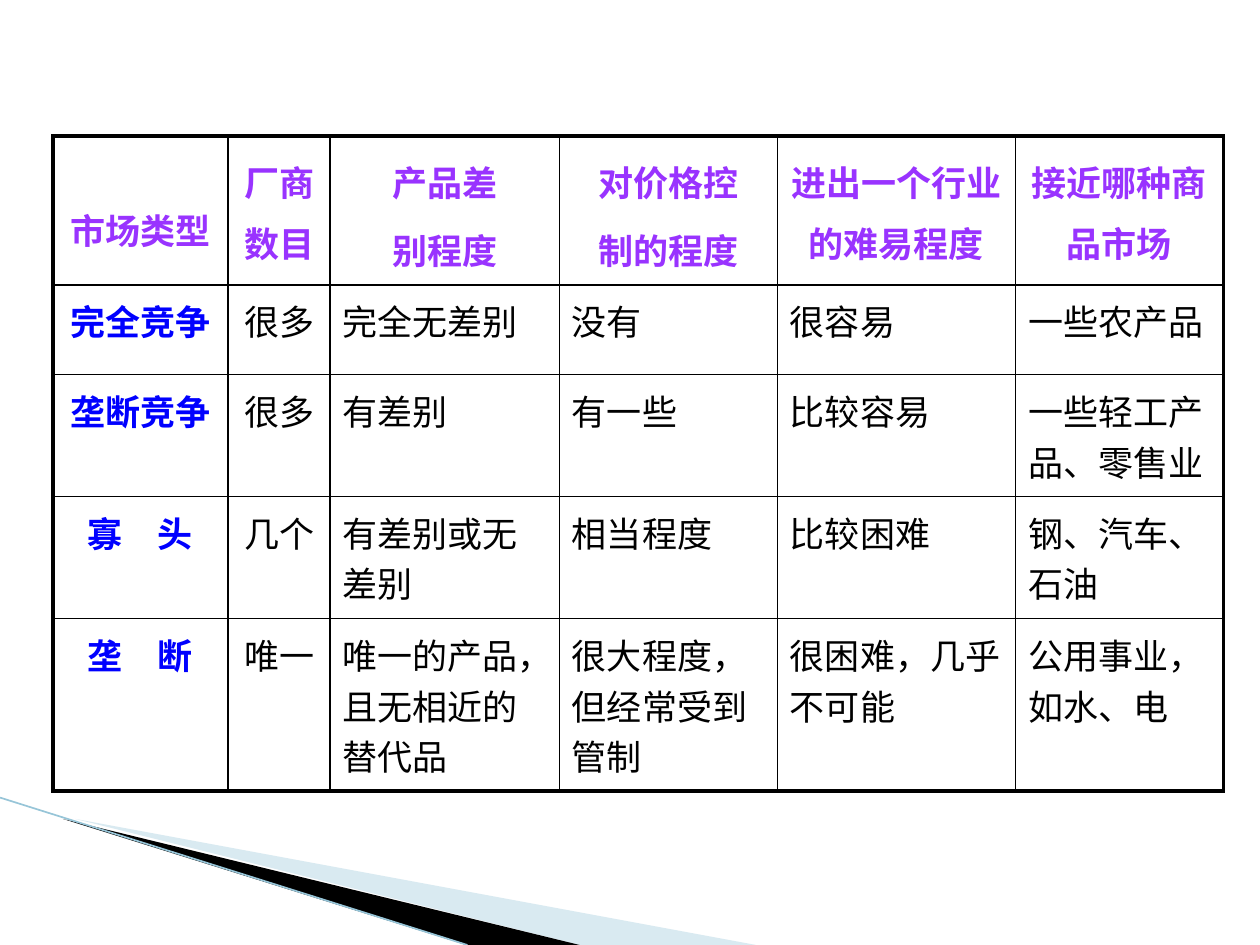
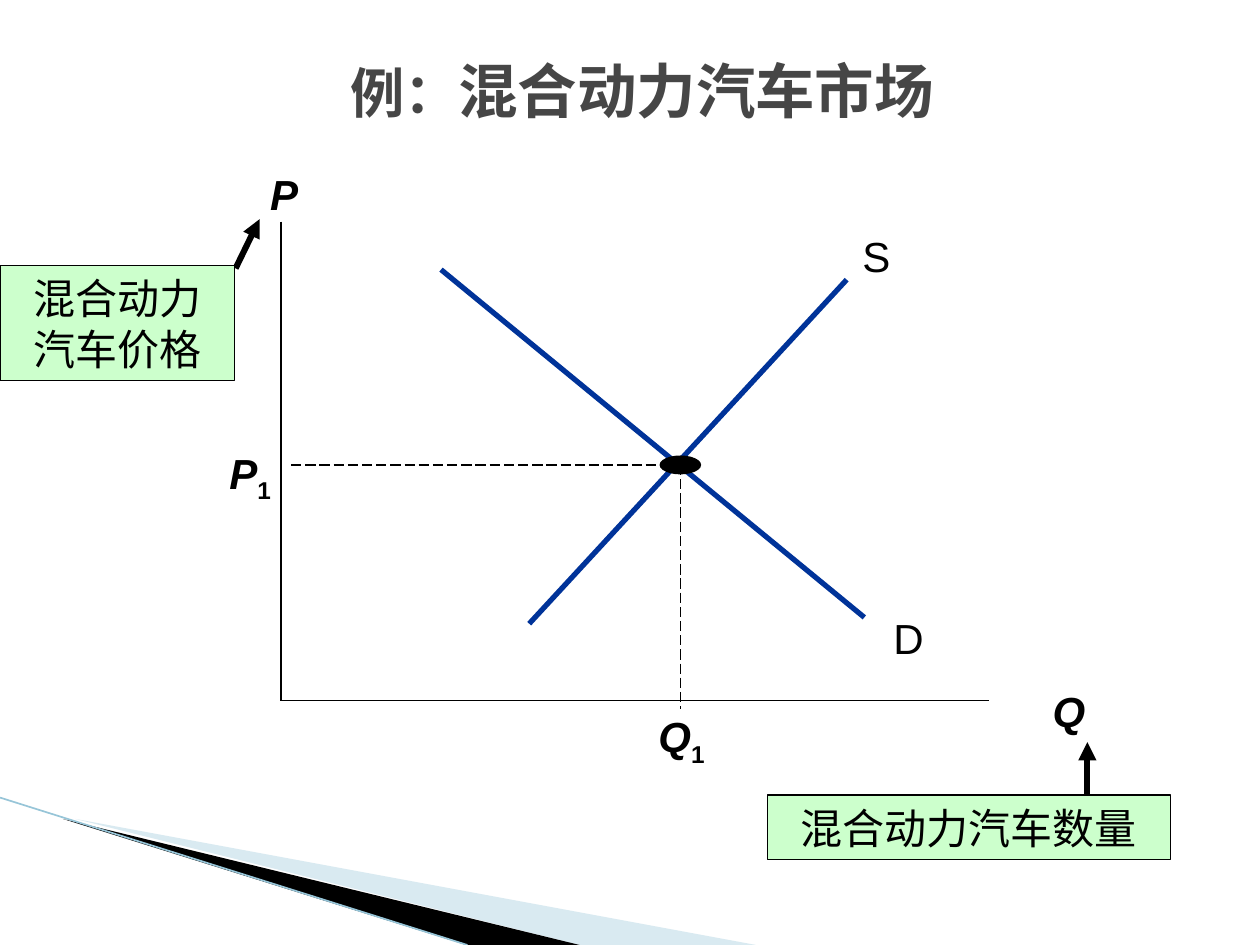
from lxml import etree
from pptx import Presentation
from pptx.dml.color import RGBColor
from pptx.enum.dml import MSO_LINE
from pptx.enum.shapes import MSO_CONNECTOR, MSO_SHAPE
from pptx.enum.text import MSO_ANCHOR, PP_ALIGN
from pptx.oxml.ns import qn
from pptx.util import Inches, Pt

# A grid of 100 columns by 75 rows covers the slide.
GRID = Inches(0.1)
COLUMNS, ROWS = 100, 75
SANS, TABLE_FONT, TITLE_FONT = "Arial", "Noto Sans CJK SC", "Courier New"
COLORS = {
    "ink": "000000",
    "title": "464646",
    "heading": "9933FF",
    "market": "0000FF",
    "curve": "003399",
    "callout": "CCFFCC",
    "wedge": "A0CBDC",
    "edge": "97C5D8",
}


def write(para, text, size, font=SANS, color="ink", bold=False, italic=False):
    """Add one run, with the same typeface for Latin and Chinese."""
    span = para.add_run()
    span.text = text
    span.font.name = font
    span.font.size = Pt(size)
    span.font.bold = bold
    span.font.italic = italic
    span.font.color.rgb = RGBColor.from_string(COLORS[color])
    props = span._r.get_or_add_rPr()
    etree.SubElement(props, qn("a:ea"), typeface=font)
    return span


def draw_line(page, start, end, color="ink", width=1, dashed=False, arrow=False):
    ends = [int(value * GRID) for value in (*start, *end)]
    line = page.shapes.add_connector(MSO_CONNECTOR.STRAIGHT, *ends)
    line.line.color.rgb = RGBColor.from_string(COLORS[color])
    line.line.width = Pt(width)
    if dashed:
        line.line.dash_style = MSO_LINE.LONG_DASH
    if arrow:
        etree.SubElement(line.line._get_or_add_ln(), qn("a:tailEnd"), type="triangle")
    etree.SubElement(line.element.spPr, qn("a:effectLst"))
    return line


deck = Presentation()
deck.slide_width, deck.slide_height = COLUMNS * GRID, ROWS * GRID
table_page = deck.slides.add_slide(deck.slide_layouts[6])
chart_page = deck.slides.add_slide(deck.slide_layouts[5])

# Corner sweep, moved to the master so that both slides share it
sweep = []
for color, opacity, points in [
    ("wedge", 40, [(5.5, 65.1), (59.5, 75), (45.6, 75), (5.5, 65)]),
    ("ink", 100, [(5.3, 64.9), (45.7, 75), (37.2, 75), (5.4, 65)]),
]:
    builder = table_page.shapes.build_freeform(*points[0], scale=GRID)
    builder.add_line_segments(points[1:], close=True)
    wedge = builder.convert_to_shape()
    wedge.shadow.inherit = False
    wedge.line.fill.background()
    wedge.fill.solid()
    wedge.fill.fore_color.rgb = RGBColor.from_string(COLORS[color])
    if opacity < 100:
        tint = wedge.element.spPr.find(".//" + qn("a:srgbClr"))
        etree.SubElement(tint, qn("a:alpha"), val=str(opacity * 1000))
    sweep.append(wedge)
sweep.append(draw_line(table_page, (0, 63.3), (37.1, 75), "edge", 0.95))
for number, shape in enumerate(sweep, start=20):
    shape.element.xpath("./*/p:cNvPr")[0].set("id", str(number))
    deck.slide_master.shapes.element.append(shape.element)

# Slide 1: the four market types
MARKETS = [
    ["市场类型", "厂商数目", "产品差\n别程度", "对价格控\n制的程度",
     "进出一个行业的难易程度", "接近哪种商品市场"],
    ["完全竞争", "很多", "完全无差别", "没有", "很容易", "一些农产品"],
    ["垄断竞争", "很多", "有差别", "有一些", "比较容易", "一些轻工产品、零售业"],
    ["寡　头", "几个", "有差别或无差别", "相当程度", "比较困难", "钢、汽车、石油"],
    ["垄　断", "唯一", "唯一的产品，且无相近的替代品",
     "很大程度，但经常受到管制", "很困难，几乎不可能", "公用事业，如水、电"],
]
WIDTHS = [13.9, 8.1, 18.2, 17.3, 18.9, 16.5]
HEIGHTS = [11, 7.1, 7.9, 9.7, 11.5]
last_row, last_column = len(HEIGHTS) - 1, len(WIDTHS) - 1

frame = table_page.shapes.add_table(
    len(HEIGHTS), len(WIDTHS), int(4.2 * GRID), int(10.8 * GRID),
    int(sum(WIDTHS) * GRID), int(sum(HEIGHTS) * GRID))
table = frame.table
table.first_row = table.horz_banding = False
for column, width in zip(table.columns, WIDTHS):
    column.width = int(width * GRID)
for row, height in zip(table.rows, HEIGHTS):
    row.height = int(height * GRID)

for r, texts in enumerate(MARKETS):
    for c, text in enumerate(texts):
        cell = table.cell(r, c)
        outer_sides = {"lnL": c == 0, "lnR": c == last_column,
                       "lnT": r == 0, "lnB": r == last_row}
        for side, outer in outer_sides.items():
            border = etree.SubElement(cell._tc.get_or_add_tcPr(), qn("a:" + side),
                                      w=str(Pt(2.25 if outer else 1)))
            fill = etree.SubElement(border, qn("a:solidFill"))
            etree.SubElement(fill, qn("a:srgbClr"), val=COLORS["ink"])
        cell.fill.background()
        cell.margin_left = cell.margin_right = GRID
        cell.margin_top = cell.margin_bottom = int(0.8 * GRID)
        if r == c == 0:
            cell.margin_top = int(5.4 * GRID)  # sits one line lower

        color = "heading" if r == 0 else "market" if c == 0 else "ink"
        for i, part in enumerate(text.split("\n")):
            para = cell.text_frame.add_paragraph() if i else cell.text_frame.paragraphs[0]
            para.alignment = PP_ALIGN.CENTER if r == 0 or c < 2 else PP_ALIGN.LEFT
            if i:
                para.space_before = Pt(4)
            if r == 0 and c > 0:
                para.line_spacing = 1.2
            write(para, part, 20, TABLE_FONT, color, bold=color != "ink")

# Slide 2: supply and demand for hybrid cars
title = chart_page.shapes.title
title.left, title.top, title.width, title.height = (
    int(value * GRID) for value in (11.7, 2.8, 78.5, 8.6))
title.text_frame.vertical_anchor = MSO_ANCHOR.MIDDLE
heading = title.text_frame.paragraphs[0]
heading.alignment = PP_ALIGN.CENTER
write(heading, "例：", 31, TITLE_FONT, "title", bold=True)
write(heading, "混合动力汽车市场", 34, TITLE_FONT, "title", bold=True)

origin = (22.3, 55.6)
balance = (54, 36.9)
draw_line(chart_page, (origin[0], 17.6), origin)
draw_line(chart_page, origin, (78.5, origin[1]))
draw_line(chart_page, (35, 21.4), (68.6, 49), "curve", 3)
draw_line(chart_page, (42, 49.5), (67.2, 22.2), "curve", 3)
draw_line(chart_page, (23.1, balance[1]), balance, width=0.75, dashed=True)
draw_line(chart_page, balance, (balance[0], 56.3), width=0.75, dashed=True)

dot_width, dot_height = 3.3, 1.5
dot = chart_page.shapes.add_shape(
    MSO_SHAPE.OVAL, int((balance[0] - dot_width / 2) * GRID),
    int((balance[1] - dot_height / 2) * GRID),
    int(dot_width * GRID), int(dot_height * GRID))
dot.shadow.inherit = False
dot.fill.solid()
dot.fill.fore_color.rgb = RGBColor.from_string(COLORS["ink"])
dot.line.fill.background()

for letter, subscript, strong, place in [
    ("P", "", True, (19, 12.9, 7.1, 5)),
    ("Q", "", True, (81, 53.9, 7.7, 5)),
    ("D", "", False, (67.5, 48.1, 9.2, 5)),
    ("S", "", False, (64.7, 17.8, 9.7, 5)),
    ("P", "1", True, (15.6, 35.5, 8.5, 4.1)),
    ("Q", "1", True, (48.3, 56.4, 11.6, 4)),
]:
    box = chart_page.shapes.add_textbox(*(int(value * GRID) for value in place))
    text_frame = box.text_frame
    text_frame.word_wrap = True
    para = text_frame.paragraphs[0]
    para.alignment = PP_ALIGN.CENTER
    write(para, letter, 24, bold=strong, italic=strong)
    if subscript:
        text_frame.margin_left = text_frame.margin_right = 0
        text_frame.margin_top = text_frame.margin_bottom = 0
        index = write(para, subscript, 24, bold=True)
        index._r.get_or_add_rPr().set("baseline", "-25000")

for text, place, arrow_start, arrow_end in [
    ("混合动力汽车价格", (0, 21.1, 18.6, 9.1), (18.7, 21.3), (20.6, 17.4)),
    ("混合动力汽车数量", (60.9, 63.1, 32, 5.1), (86.3, 63.8), (86.3, 58.9)),
]:
    draw_line(chart_page, arrow_start, arrow_end, width=3.5, arrow=True)
    callout = chart_page.shapes.add_shape(
        MSO_SHAPE.RECTANGLE, *(int(value * GRID) for value in place))
    callout.shadow.inherit = False
    callout.fill.solid()
    callout.fill.fore_color.rgb = RGBColor.from_string(COLORS["callout"])
    callout.line.color.rgb = RGBColor.from_string(COLORS["ink"])
    callout.line.width = Pt(0.75)
    callout.text_frame.word_wrap = True
    callout.text_frame.vertical_anchor = MSO_ANCHOR.MIDDLE
    para = callout.text_frame.paragraphs[0]
    para.alignment = PP_ALIGN.CENTER
    write(para, text, 24)

deck.save("out.pptx")
